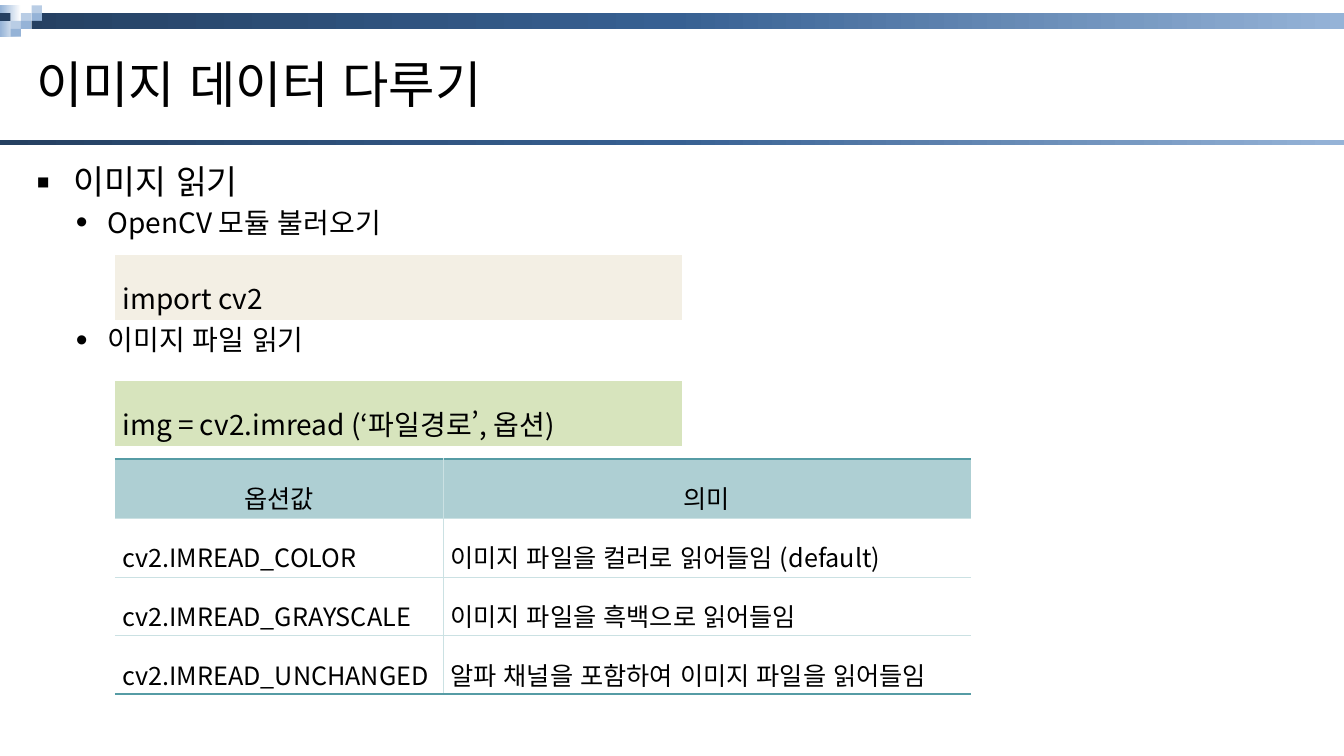
from copy import deepcopy

from lxml import etree
from pptx import Presentation
from pptx import util as u
from pptx.dml.color import RGBColor
from pptx.enum import lang, shapes, text
from pptx.oxml import ns

Pt = u.Pt
BLACK = RGBColor(0x00, 0x00, 0x00)
WHITE = RGBColor(0xFF, 0xFF, 0xFF)
NAVY = RGBColor(0x25, 0x40, 0x61)
BLUE = RGBColor(0x37, 0x60, 0x92)
SKY = RGBColor(0x95, 0xB3, 0xD7)
PALE = RGBColor(0xB9, 0xCD, 0xE5)
CREAM = RGBColor(0xF3, 0xEF, 0xE4)
GREEN = RGBColor(0xD7, 0xE4, 0xBD)
AQUA = RGBColor(0xAE, 0xCF, 0xD3)
TEAL = RGBColor(0x56, 0x9C, 0xA5)
MIST = RGBColor(0xCB, 0xE1, 0xE3)

LEFT, CENTER, JUST = (text.PP_ALIGN.LEFT, text.PP_ALIGN.CENTER,
                      text.PP_ALIGN.JUSTIFY)
THICK, THIN = (TEAL, 1.7), (MIST, 0.28)


def sub(node, tag, **attrs):
    return etree.SubElement(node, ns.qn(tag), attrs)


class Deck:
    font = "Noto Sans CJK KR"

    def __init__(self, slide):
        self.slide = slide

    def rect(self, x, y, w, h, *colors):
        """One colour gives a solid fill, several a left-to-right gradient."""
        box = self.slide.shapes.add_shape(
            shapes.MSO_SHAPE.RECTANGLE, Pt(x), Pt(y), Pt(w), Pt(h))
        box.shadow.inherit = False
        box.line.fill.background()
        if len(colors) == 1:
            box.fill.solid()
            box.fill.fore_color.rgb = colors[0]
            return
        box.fill.gradient()
        box.fill.gradient_angle = 0
        stops = box._element.spPr.find(".//" + ns.qn("a:gsLst"))
        for _ in colors[2:]:
            stops.append(deepcopy(stops[0]))
        for i, (stop, color) in enumerate(zip(box.fill.gradient_stops, colors)):
            stop.color.rgb = color
            stop.position = i / (len(colors) - 1)

    def frame(self, x, y, w, h, anchor):
        box = self.slide.shapes.add_textbox(Pt(x), Pt(y), Pt(w), Pt(h))
        box.text_frame.word_wrap = True
        box.text_frame.vertical_anchor = anchor
        return box.text_frame

    def run(self, para, words, size):
        run = para.add_run()
        run.text = words
        run.font.size = Pt(size)
        run.font.name = self.font
        run.font.color.rgb = BLACK
        run.font.language_id = lang.MSO_LANGUAGE_ID.KOREAN
        sub(run.font._element, "a:ea", typeface=self.font)

    def bullet(self, para, mark, level, left, hang):
        para.level = level
        props = para._p.get_or_add_pPr()
        props.set("marL", str(Pt(left)))
        props.set("indent", str(-Pt(hang)))
        sub(props, "a:buSzPct", val="120000")
        sub(props, "a:buFont", typeface="Arial")
        sub(props, "a:buChar", char=mark)

    def border(self, cell, **sides):
        props = cell._tc.get_or_add_tcPr()
        for side in "LRTB":
            edge = sides.get(side)
            line = sub(props, "a:ln" + side)
            if edge is None:
                sub(line, "a:noFill")
                continue
            color, width = edge
            line.set("w", str(Pt(width)))
            sub(sub(line, "a:solidFill"), "a:srgbClr", val=str(color))

    def table(self, x, y, widths, height, count):
        """Make a plain table of count rows, each of the given height."""
        grid = self.slide.shapes.add_table(
            count, len(widths), Pt(x), Pt(y),
            Pt(sum(widths)), Pt(height * count)).table
        grid.first_row = grid.horz_banding = False
        for col, width in zip(grid.columns, widths):
            col.width = Pt(width)
        return grid

    def cell(self, cell, words, size, fill, align, **sides):
        self.border(cell, **sides)
        cell.fill.solid()
        cell.fill.fore_color.rgb = fill
        cell.margin_left = cell.margin_right = Pt(5.4)
        cell.margin_top = cell.margin_bottom = Pt(1.4)
        cell.vertical_anchor = text.MSO_ANCHOR.MIDDLE
        para = cell.text_frame.paragraphs[0]
        para.alignment = align
        para.line_spacing = 1.5
        self.run(para, words, size)


def main():
    prs = Presentation()
    prs.slide_width, prs.slide_height = Pt(960), Pt(540)
    deck = Deck(prs.slides.add_slide(prs.slide_layouts[6]))

    # Header band with its mosaic corner, and the rule under the title
    deck.rect(0, 9.4, 960, 11.4, NAVY, BLUE, SKY)
    deck.rect(0, 3.8, 30, 22.4, SKY, WHITE, WHITE)
    tiles = [(2, 1, PALE), (3, 1, SKY), (1, 2, PALE), (2, 2, SKY),
             (3, 2, NAVY), (1, 3, SKY), (0, 1, NAVY), (3, 0, PALE)]
    for col, row, color in tiles:
        deck.rect(col * 7.5, 3.8 + row * 5.6, 7.5, 5.6, color)
    deck.rect(0, 100, 960, 3.6, NAVY, BLUE, SKY)

    # Title
    title = deck.frame(18.7, 26, 922, 67.5, text.MSO_ANCHOR.MIDDLE)
    deck.run(title.paragraphs[0], "이미지 데이터 다루기", 36)

    # Bullets; the last one leaves room for the first code box
    body = deck.frame(18.7, 111.6, 922, 408, text.MSO_ANCHOR.TOP)
    items = [("이미지 읽기", 24, "▪", 0, 27, 27, 0),
             ("OpenCV 모듈 불러오기", 20, "•", 1, 51, 22.5, 2.5),
             ("이미지 파일 읽기", 20, "•", 1, 51, 22.5, 60)]
    for i, (words, size, mark, level, left, hang, gap) in enumerate(items):
        para = body.add_paragraph() if i else body.paragraphs[0]
        deck.bullet(para, mark, level, left, hang)
        para.line_spacing = 1.0
        para.space_before = Pt(gap)
        deck.run(para, words, size)

    # Code boxes
    codes = [(182, "import cv2", CREAM),
             (272, "img = cv2.imread (‘파일경로’, 옵션)", GREEN)]
    for y, code, fill in codes:
        grid = deck.table(82, y, [405.5], 46.5, 1)
        deck.cell(grid.cell(0, 0), code, 20, fill, JUST)

    # Option table
    rows = [("옵션값", "의미"),
            ("cv2.IMREAD_COLOR", "이미지 파일을 컬러로 읽어들임 (default)"),
            ("cv2.IMREAD_GRAYSCALE", "이미지 파일을 흑백으로 읽어들임"),
            ("cv2.IMREAD_UNCHANGED",
             "알파 채널을 포함하여 이미지 파일을 읽어들임")]
    grid = deck.table(82, 328, [234.3, 377.2], 42, len(rows))
    last = len(rows) - 1
    for r, row in enumerate(rows):
        for c, words in enumerate(row):
            deck.cell(grid.cell(r, c), words, 18,
                      WHITE if r else AQUA, LEFT if r else CENTER,
                      L=THIN if c else None, R=None if c else THIN,
                      T=THIN if r else THICK, B=THICK if r == last else THIN)

    prs.save("out.pptx")


if __name__ == "__main__":
    main()
